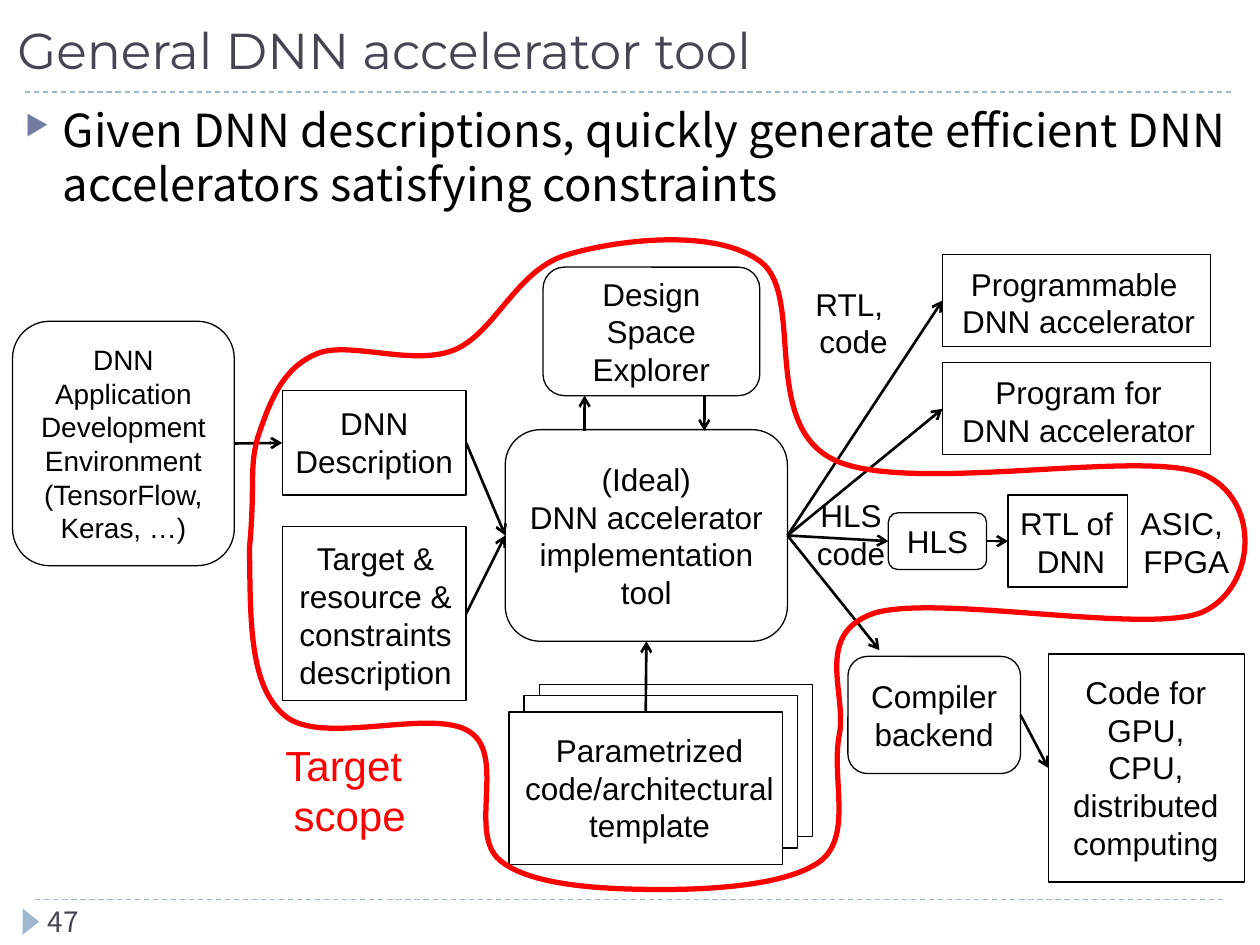
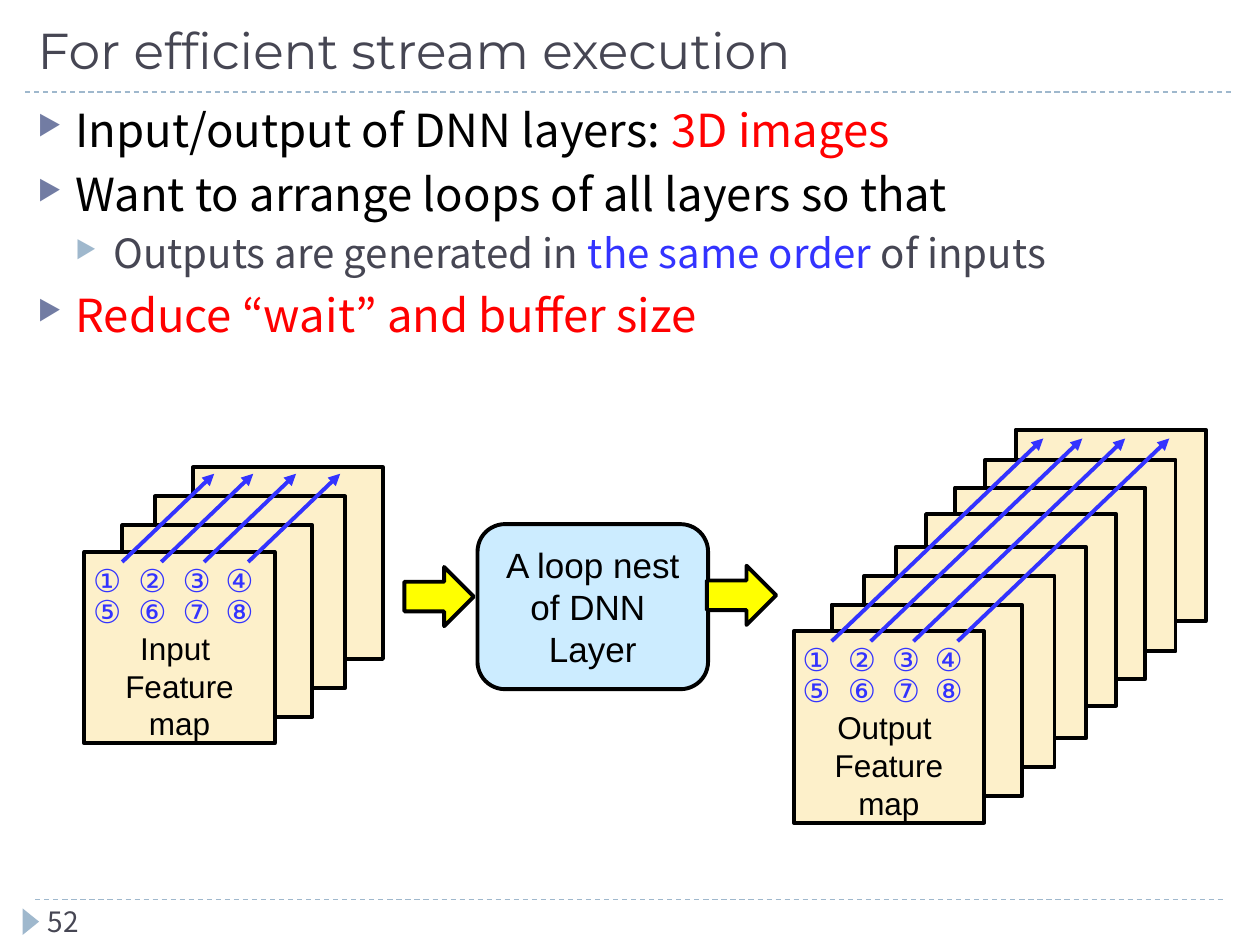
from dataclasses import dataclass
from typing import NamedTuple, Optional, Union

from lxml.etree import SubElement
from pptx import Presentation
from pptx.dml.color import RGBColor
from pptx.enum.dml import MSO_LINE
from pptx.enum.shapes import MSO_CONNECTOR, MSO_SHAPE as Preset
from pptx.enum.text import MSO_ANCHOR as Anchor, PP_ALIGN as Align
from pptx.oxml.ns import qn
from pptx.util import Pt

EMU_PER_PX = 9144

BLACK = RGBColor(0x00, 0x00, 0x00)
WHITE = RGBColor(0xFF, 0xFF, 0xFF)
RED = RGBColor(0xFF, 0x00, 0x00)
BLUE = RGBColor(0x33, 0x33, 0xFF)
YELLOW = RGBColor(0xFF, 0xFF, 0x00)
SLATE = RGBColor(0x46, 0x46, 0x53)
STEEL = RGBColor(0x9F, 0xB8, 0xCD)
INDIGO = RGBColor(0x72, 0x7C, 0xA3)
CREAM = RGBColor(0xFD, 0xF0, 0xCA)
SKY = RGBColor(0xCC, 0xEC, 0xFF)

TOP, LEFT, BOTTOM, RIGHT = range(4)


class Face(NamedTuple):
    font: str
    size: float
    color: RGBColor


class Area(NamedTuple):
    left: int
    top: int
    width: int
    height: int


class Point(NamedTuple):
    x: int
    y: int


class Joint(NamedTuple):
    block: str
    side: int


class Span(NamedTuple):
    text: str
    color: RGBColor


class Level(NamedTuple):
    size: int
    leading: int
    before: int
    indent: int
    bullet: RGBColor


LABEL = Face("Arial", 18, BLACK)
SMALL = Face("Arial", 16, BLACK)
LARGE = Face("Arial", 20, BLACK)
SCOPE = Face("Arial", 24, RED)
STEP = Face("Arial", 18, BLUE)
TITLE = Face("Montserrat", 28.8, SLATE)
BODY_FONT = "Noto Sans CJK JP"
NUMBER = Face(BODY_FONT, 16, SLATE)
MAIN = Level(26, 31, 6, 30, INDIGO)
SUB = Level(23, 27, 5, 60, STEEL)
HANGING = 30


@dataclass
class Block:
    area: Area
    lines: tuple[str, ...] = ()
    preset: Preset = Preset.RECTANGLE
    fill: Optional[RGBColor] = None
    weight: float = 0.75
    face: Face = LABEL
    anchor: Anchor = Anchor.MIDDLE
    bottom_margin: int = 5


@dataclass
class Note:
    area: Area
    lines: tuple[str, ...]
    face: Face = LABEL
    align: Align = Align.CENTER


@dataclass
class Bullet:
    spans: tuple[Span, ...]
    level: Level = MAIN


@dataclass
class Arrow:
    start: Union[Point, Joint]
    end: Union[Point, Joint]


@dataclass
class Stack:
    sheets: tuple[Point, ...]
    kind: str
    reach: Point


def px(value: float) -> int:
    return round(value * EMU_PER_PX)


def add_span(para, text: str, face: Face) -> None:
    span = para.add_run()
    span.text = text
    span.font.name = face.font
    span.font.size = Pt(face.size)
    span.font.color.rgb = face.color


def write(shape, lines, face: Face, align=Align.CENTER, anchor=Anchor.TOP, wrap=True) -> None:
    frame = shape.text_frame
    frame.word_wrap = wrap
    frame.vertical_anchor = anchor
    for index, line in enumerate(lines):
        para = frame.add_paragraph() if index else frame.paragraphs[0]
        para.alignment = align
        add_span(para, line, face)


def add_box(page, area: Area):
    return page.shapes.add_textbox(*map(px, area))


def add_note(page, note: Note) -> None:
    write(add_box(page, note.area), note.lines, note.face, note.align, wrap=False)


def add_block(page, block: Block):
    shape = page.shapes.add_shape(block.preset, *map(px, block.area))
    shape.shadow.inherit = False
    if block.fill is None:
        shape.fill.background()
    else:
        shape.fill.solid()
        shape.fill.fore_color.rgb = block.fill
    shape.line.color.rgb = BLACK
    shape.line.width = Pt(block.weight)
    if block.lines:
        write(shape, block.lines, block.face, anchor=block.anchor)
        shape.text_frame.margin_bottom = px(block.bottom_margin)
    return shape


def add_line(page, start: Point, end: Point, color: RGBColor, weight: float, head: str = ""):
    line = page.shapes.add_connector(MSO_CONNECTOR.STRAIGHT, *map(px, (*start, *end)))
    line.line.color.rgb = color
    line.line.width = Pt(weight)
    properties = line._element.spPr
    if head:
        SubElement(properties.get_or_add_ln(), qn("a:tailEnd"), type=head)
    SubElement(properties, qn("a:effectLst"))
    return line


def add_arrow(page, arrow: Arrow, shapes: dict) -> None:
    line = add_line(page, Point(0, 0), Point(0, 0), BLACK, 1.5, "arrow")
    if isinstance(arrow.start, Joint):
        line.begin_connect(shapes[arrow.start.block], arrow.start.side)
    else:
        line.begin_x, line.begin_y = map(px, arrow.start)
    if isinstance(arrow.end, Joint):
        line.end_connect(shapes[arrow.end.block], arrow.end.side)
    else:
        line.end_x, line.end_y = map(px, arrow.end)


def add_bullets(page, area: Area, bullets: tuple[Bullet, ...]) -> None:
    frame = add_box(page, area).text_frame
    frame.word_wrap = True
    for index, bullet in enumerate(bullets):
        level = bullet.level
        para = frame.add_paragraph() if index else frame.paragraphs[0]
        properties = para._p.get_or_add_pPr()
        properties.set("marL", str(px(level.indent)))
        properties.set("indent", str(-px(HANGING)))
        color = SubElement(properties, qn("a:buClr"))
        SubElement(color, qn("a:srgbClr"), val=str(level.bullet))
        SubElement(properties, qn("a:buSzPct"), val="60000")
        SubElement(properties, qn("a:buChar"), char="▶")
        para.line_spacing = Pt(level.leading)
        if index:
            para.space_before = Pt(level.before)
        for text, shade in bullet.spans:
            add_span(para, text, Face(BODY_FONT, level.size, shade))


def add_page(deck, title: str, number: int, title_left: int):
    page = deck.slides.add_slide(deck.slide_layouts[6])
    for inset, y in ((28, 714), (20, 73)):
        rule = add_line(page, Point(inset, y), Point(1000 - inset, y), STEEL, 0.75)
        rule.line.dash_style = MSO_LINE.DASH
    marker = page.shapes.add_shape(Preset.ISOSCELES_TRIANGLE, *map(px, (14, 725, 21, 13)))
    marker.rotation = 90
    marker.shadow.inherit = False
    marker.fill.solid()
    marker.fill.fore_color.rgb = STEEL
    marker.line.fill.background()
    heading = add_box(page, Area(title_left, 5, 961, 63))
    write(heading, (title,), TITLE, Align.LEFT, Anchor.BOTTOM)
    footer = add_box(page, Area(28, 713, 217, 31))
    write(footer, (str(number),), NUMBER, Align.LEFT)
    footer.text_frame.paragraphs[0].line_spacing = Pt(19)
    return page


ROUND = Preset.ROUNDED_RECTANGLE
TOOL_BLOCKS = {
    "description": Block(Area(224, 310, 146, 83)),
    "target": Block(Area(224, 418, 146, 138)),
    "application": Block(Area(10, 255, 176, 194),
                         ("DNN", "Application", "Development", "Environment",
                          "(TensorFlow, Keras, …)"), ROUND, face=SMALL),
    "explorer": Block(Area(431, 212, 172, 102), ("Design Space", "Explorer"), ROUND),
    "tool": Block(Area(401, 341, 224, 168),
                  ("(Ideal)", "DNN accelerator implementation", "tool"), ROUND),
    "template back": Block(Area(428, 543, 217, 121), fill=WHITE),
    "template middle": Block(Area(416, 552, 217, 121), fill=WHITE),
    "template": Block(Area(404, 565, 217, 121), fill=WHITE),
    "programmable": Block(Area(748, 202, 213, 73)),
    "program": Block(Area(748, 288, 213, 73)),
    "hls": Block(Area(705, 407, 78, 45), ("HLS",), ROUND),
    "rtl": Block(Area(800, 393, 95, 73)),
    "backend": Block(Area(673, 521, 137, 93), ("Compiler backend",), ROUND),
    "code": Block(Area(832, 519, 156, 181)),
}
TOOL_ARROWS = (
    Arrow(Joint("application", RIGHT), Joint("description", LEFT)),
    Arrow(Joint("description", RIGHT), Joint("tool", LEFT)),
    Arrow(Joint("target", RIGHT), Joint("tool", LEFT)),
    Arrow(Joint("template", TOP), Joint("tool", BOTTOM)),
    Arrow(Point(464, 342), Point(464, 314)),
    Arrow(Point(559, 314), Point(559, 342)),
    Arrow(Joint("tool", RIGHT), Joint("programmable", LEFT)),
    Arrow(Joint("tool", RIGHT), Joint("program", LEFT)),
    Arrow(Joint("tool", RIGHT), Joint("hls", LEFT)),
    Arrow(Joint("tool", RIGHT), Point(698, 516)),
    Arrow(Joint("hls", RIGHT), Joint("rtl", LEFT)),
    Arrow(Joint("backend", RIGHT), Joint("code", LEFT)),
)
TOOL_NOTES = (
    Note(Area(224, 316, 146, 71), ("DNN", "Description")),
    Note(Area(222, 423, 152, 101), ("Target &", "resource &", "constraints", "description")),
    Note(Area(374, 575, 283, 101), ("Parametrized", "code/architectural", "template")),
    Note(Area(748, 205, 216, 71), ("Programmable ", "DNN accelerator")),
    Note(Area(748, 291, 216, 71), ("Program for", "DNN accelerator")),
    Note(Area(798, 395, 104, 71), ("RTL of ", "DNN")),
    Note(Area(831, 529, 157, 162), ("Code for", "GPU,", "CPU,", "distributed", "computing")),
    Note(Area(637, 221, 81, 71), ("RTL, ", "code")),
    Note(Area(638, 389, 75, 71), ("HLS", "code")),
    Note(Area(895, 395, 93, 71), ("ASIC, ", "FPGA")),
    Note(Area(216, 582, 123, 91), ("Target ", "scope"), SCOPE),
)
SCOPE_AREA = Area(198, 190, 790, 516)
SCOPE_START = Point(251, 281)
SCOPE_CURVES = (
    (276, 270, 327, 291, 360, 278), (393, 265, 410, 213, 451, 202),
    (491, 190, 569, 181, 604, 208), (639, 235, 603, 337, 662, 365),
    (720, 393, 905, 356, 954, 376), (1002, 396, 997, 467, 954, 486),
    (910, 504, 741, 471, 693, 487), (645, 504, 673, 552, 666, 584),
    (660, 617, 676, 661, 653, 682), (629, 702, 569, 706, 526, 706),
    (484, 706, 422, 704, 397, 683), (371, 662, 402, 600, 373, 581),
    (344, 561, 255, 593, 226, 568), (197, 544, 199, 490, 198, 435),
    (203, 383, 197, 369, 206, 343), (215, 317, 225, 292, 251, 281),
)


def add_scope(page) -> None:
    builder = page.shapes.build_freeform(*SCOPE_START, scale=EMU_PER_PX)
    builder.add_line_segments([curve[4:] for curve in SCOPE_CURVES], close=True)
    outline = builder.convert_to_shape()
    outline.left, outline.top, outline.width, outline.height = map(px, SCOPE_AREA)
    track = next(outline._element.iter(qn("a:path")))
    track.set("w", str(SCOPE_AREA.width))
    track.set("h", str(SCOPE_AREA.height))
    for step in list(track):
        track.remove(step)

    def add_step(tag: str, *values: int) -> None:
        step = SubElement(track, qn(tag))
        for x, y in zip(values[::2], values[1::2]):
            SubElement(step, qn("a:pt"), x=str(x - SCOPE_AREA.left), y=str(y - SCOPE_AREA.top))

    add_step("a:moveTo", *SCOPE_START)
    for curve in SCOPE_CURVES:
        add_step("a:cubicBezTo", *curve)
    add_step("a:close")
    outline.shadow.inherit = False
    outline.fill.background()
    outline.line.color.rgb = RED
    outline.line.width = Pt(3)


def draw_tool(deck) -> None:
    page = add_page(deck, "General DNN accelerator tool", 47, 4)
    shapes = {name: add_block(page, block) for name, block in TOOL_BLOCKS.items()}
    for arrow in TOOL_ARROWS:
        add_arrow(page, arrow, shapes)
    add_scope(page)
    for note in TOOL_NOTES:
        add_note(page, note)
    add_bullets(page, Area(10, 76, 978, 630), (Bullet((Span(
        "Given DNN descriptions, quickly generate efficient DNN accelerators "
        "satisfying constraints", BLACK),)),))


STACKS = (
    Stack((Point(153, 371), Point(123, 394), Point(97, 417), Point(67, 438)),
          "Input ", Point(73, -70)),
    Stack((Point(806, 341), Point(782, 365), Point(758, 387), Point(735, 408),
           Point(711, 434), Point(686, 457), Point(660, 480), Point(630, 501)),
          "Output ", Point(168, -161)),
)
STEP_ROWS = ((2, "①②③④"), (27, "⑤⑥⑦⑧"))
STEP_COLUMNS = (-3, 33, 68, 102)
STREAM_STARTS = (30, 61, 95, 130)
STREAM_BULLETS = (
    Bullet((Span("Input/output of DNN layers: ", BLACK), Span("3D images", RED))),
    Bullet((Span("Want to arrange loops of all layers so that", BLACK),)),
    Bullet((Span("Outputs are generated in ", SLATE), Span("the same order ", BLUE),
            Span("of inputs", SLATE)), SUB),
    Bullet((Span("Reduce “wait” and buffer size", RED),)),
)
STREAM_BLOCKS = (
    Block(Area(379, 416, 183, 131), ("A loop nest of DNN ", "Layer"), ROUND, SKY, 2.25, LARGE),
    Block(Area(321, 450, 55, 47), (), Preset.RIGHT_ARROW, YELLOW, 2.25),
    Block(Area(561, 449, 55, 47), (), Preset.RIGHT_ARROW, YELLOW, 2.25),
)


def add_stack(page, stack: Stack) -> None:
    front = stack.sheets[-1]
    for sheet in stack.sheets:
        lines = (stack.kind, "Feature", "map") if sheet == front else ()
        add_block(page, Block(Area(*sheet, 151, 152), lines, fill=CREAM, weight=2.25,
                              anchor=Anchor.BOTTOM, bottom_margin=1))
    for offset in STREAM_STARTS:
        start = Point(front.x + offset, front.y + 8)
        end = Point(start.x + stack.reach.x, start.y + stack.reach.y)
        add_line(page, start, end, BLUE, 2.25, "triangle")
    for drop, digits in STEP_ROWS:
        for offset, digit in zip(STEP_COLUMNS, digits):
            area = Area(front.x + offset, front.y + drop, 45, 40)
            add_note(page, Note(area, (digit,), STEP, Align.LEFT))


def draw_stream(deck) -> None:
    page = add_page(deck, "For efficient stream execution", 52, 20)
    for stack in STACKS:
        add_stack(page, stack)
    add_bullets(page, Area(20, 76, 961, 630), STREAM_BULLETS)
    for block in STREAM_BLOCKS:
        add_block(page, block)


def main() -> None:
    deck = Presentation()
    deck.slide_width, deck.slide_height = px(1000), px(750)
    draw_tool(deck)
    draw_stream(deck)
    deck.save("out.pptx")


if __name__ == "__main__":
    main()
